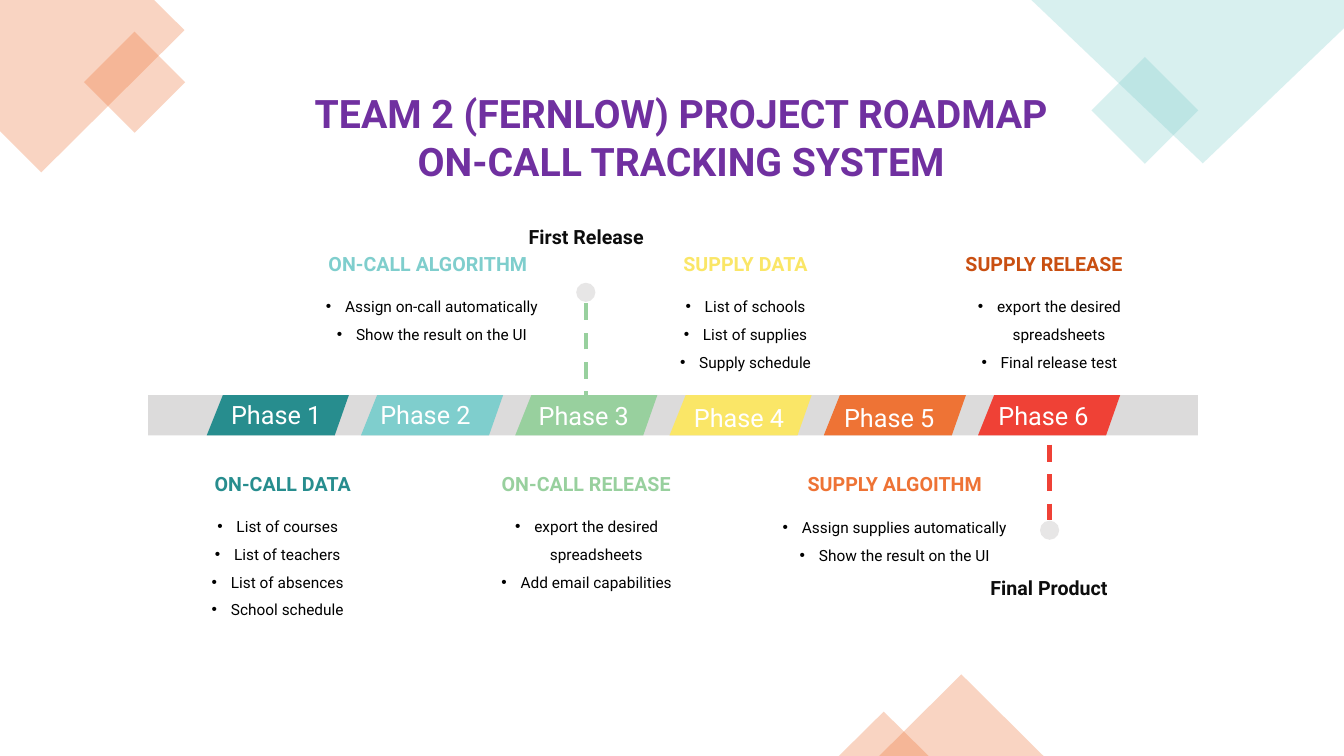
"""Build the six-phase project roadmap slide."""
from lxml.etree import SubElement
from pptx import Presentation
from pptx.dml.color import RGBColor
from pptx.enum.dml import MSO_LINE
from pptx.enum.shapes import MSO_CONNECTOR, MSO_SHAPE
from pptx.enum.text import MSO_ANCHOR, MSO_AUTO_SIZE, PP_ALIGN
from pptx.oxml.ns import qn
from pptx.util import Inches, Pt

FONT = "Roboto"
COLORS = {
    "title": "7030A0", "black": "000000", "label": "0D0D0D", "white": "FFFFFF",
    "bar": "DCDBDB", "dot": "E7E6E6", "teal": "278D8E", "aqua": "7FCECD",
    "green": "98D09E", "yellow": "FAE667", "orange": "EE7335",
    "red": "EF4136", "rust": "C94F11",
}
BAR_TOP, BAR_HEIGHT = 3.92, 0.4
PHASE_LEFT, PHASE_STEP = 2.05, 1.53
PHASE_OUTLINE = [(0.16, 0), (1.41, 0), (1.27, BAR_HEIGHT), (0, BAR_HEIGHT)]
HEADING_WIDTH = 2.37

PHASES = [
    ("teal", 2.13, 3.91), ("aqua", 3.61, 3.91), ("green", 5.18, 3.92),
    ("yellow", 6.72, 3.94), ("orange", 8.21, 3.94), ("red", 9.74, 3.92),
]
HEADINGS = [
    ("ON-CALL DATA", "teal", 1.62, 4.63),
    ("ON-CALL ALGORITHM", "aqua", 3.06, 2.45),
    ("ON-CALL RELEASE", "green", 4.63, 4.63),
    ("SUPPLY DATA", "yellow", 6.21, 2.45),
    ("SUPPLY ALGOITHM", "orange", 7.69, 4.63),
    ("SUPPLY RELEASE", "rust", 9.17, 2.45),
    ("First Release", "label", 4.63, 2.18),
    ("Final Product", "label", 9.22, 5.66),
]
TASK_LISTS = [
    (1.86, 4.99, 1.79, ["List of courses", "List of teachers",
                        "List of absences", "School schedule"]),
    (3.1, 2.81, 2.37, ["Assign on-call automatically",
                       "Show the result on the UI"]),
    (4.57, 4.99, 2.5, ["export the desired spreadsheets",
                       "Add email capabilities"]),
    (6.5, 2.81, 1.79, ["List of schools", "List of supplies",
                       "Supply schedule"]),
    (7.62, 5, 2.51, ["Assign supplies automatically",
                     "Show the result on the UI"]),
    (9.16, 2.81, 2.5, ["export the desired spreadsheets",
                       "Final release test"]),
]
DECORATIONS = [
    (MSO_SHAPE.RECTANGLE, 0.98, 0.46, 0.71, 0.71, 315, "orange"),
    (MSO_SHAPE.RECTANGLE, 10.98, 0.72, 0.75, 0.75, 315, "aqua"),
    (MSO_SHAPE.ISOSCELES_TRIANGLE, 8.72, 6.69, 1.63, 0.81, 0, "orange"),
    (MSO_SHAPE.ISOSCELES_TRIANGLE, 8.32, 7.06, 0.89, 0.44, 0, "orange"),
]
CORNERS = [
    ([(1.53, 0), (0, 0), (0, 1.3), (0.41, 1.71), (1.83, 0.3)], "orange"),
    ([(13.33, 0), (10.23, 0), (11.93, 1.62), (13.33, 0.28)], "aqua"),
]
MILESTONES = [(10.41, 4.12, 5.26, "red"), (5.81, 4.05, 2.9, "green")]


def rgb(color):
    """Return the named colour."""
    return RGBColor.from_string(COLORS[color])


def paint(shape, color, opacity=100):
    """Fill a shape without outline or shadow."""
    shape.shadow.inherit = False
    shape.fill.solid()
    shape.fill.fore_color.rgb = rgb(color)
    shape.line.fill.background()
    if opacity < 100:
        fill_color = shape.fill._xPr.find(qn("a:solidFill"))[0]
        SubElement(fill_color, qn("a:alpha"), val=str(opacity * 1000))


def add_preset(slide, kind, left, top, width, height, color, opacity=100):
    """Add a painted preset shape."""
    shape = slide.shapes.add_shape(
        kind, Inches(left), Inches(top), Inches(width), Inches(height))
    paint(shape, color, opacity)
    return shape


def add_polygon(slide, points, color, opacity=100):
    """Add a painted closed outline."""
    corners = [(Inches(x), Inches(y)) for x, y in points]
    builder = slide.shapes.build_freeform(*corners[0])
    builder.add_line_segments(corners[1:], close=True)
    paint(builder.convert_to_shape(), color, opacity)


def write_lines(text_frame, lines, size, color, bold=False):
    """Write centred paragraphs and return them."""
    text_frame.word_wrap = True
    text_frame.text = "\n".join(lines)
    for paragraph in text_frame.paragraphs:
        paragraph.alignment = PP_ALIGN.CENTER
        paragraph.font.name = FONT
        paragraph.font.size = Pt(size)
        paragraph.font.bold = bold
        paragraph.font.color.rgb = rgb(color)
    return text_frame.paragraphs


def add_text(slide, left, top, width, height, lines, size, color, bold=False):
    """Add a text box and return its paragraphs."""
    box = slide.shapes.add_textbox(
        Inches(left), Inches(top), Inches(width), Inches(height))
    box.text_frame.auto_size = MSO_AUTO_SIZE.SHAPE_TO_FIT_TEXT
    return write_lines(box.text_frame, lines, size, color, bold)


def add_task_list(slide, left, top, width, tasks):
    """Add a centred bulleted list."""
    height = 0.06 + 0.28 * len(tasks)
    for paragraph in add_text(slide, left, top, width, height, tasks, 11, "black"):
        paragraph.line_spacing = 1.5
        properties = paragraph._p.get_or_add_pPr()
        properties.set("marL", str(Inches(0.19)))
        properties.set("indent", str(Inches(-0.19)))
        bullet_font = properties.makeelement(qn("a:buFont"), {"typeface": "Arial"})
        bullet = properties.makeelement(qn("a:buChar"), {"char": "•"})
        properties.find(qn("a:lnSpc")).addnext(bullet_font)
        bullet_font.addnext(bullet)


def add_milestone(slide, x, start, end, color):
    """Add a dashed line ending in a dot."""
    line = slide.shapes.add_connector(
        MSO_CONNECTOR.STRAIGHT, Inches(x), Inches(start), Inches(x), Inches(end))
    line.line.color.rgb = rgb(color)
    line.line.width = Pt(3)
    line.line.dash_style = MSO_LINE.DASH
    SubElement(line._element.spPr, qn("a:effectLst"))
    size = 0.19
    add_preset(slide, MSO_SHAPE.OVAL, x - size / 2, end - size / 2, size, size, "dot")


def add_title(slide):
    """Place and format the slide title."""
    title = slide.shapes.title
    title.left, title.top = Inches(1.62), Inches(0.84)
    title.width, title.height = Inches(10.27), Inches(1.04)
    title.text_frame.auto_size = MSO_AUTO_SIZE.NONE
    title.text_frame.vertical_anchor = MSO_ANCHOR.TOP
    lines = ["TEAM 2 (FERNLOW) PROJECT ROADMAP", "ON-CALL TRACKING SYSTEM"]
    write_lines(title.text_frame, lines, 28, "title", bold=True)


def main():
    """Build and save the slide."""
    presentation = Presentation()
    presentation.slide_width = Inches(13.33)
    presentation.slide_height = Inches(7.5)
    slide = presentation.slides.add_slide(presentation.slide_layouts[5])
    add_title(slide)
    for points, color in CORNERS:
        add_polygon(slide, points, color, 30)
    for kind, left, top, width, height, rotation, color in DECORATIONS:
        shape = add_preset(slide, kind, left, top, width, height, color, 30)
        shape.rotation = rotation
    for milestone in MILESTONES:
        add_milestone(slide, *milestone)
    add_preset(slide, MSO_SHAPE.RECTANGLE, 1.47, BAR_TOP, 10.41, BAR_HEIGHT, "bar")
    for index, (color, label_left, label_top) in enumerate(PHASES):
        left = PHASE_LEFT + index * PHASE_STEP
        add_polygon(slide, [(left + x, BAR_TOP + y) for x, y in PHASE_OUTLINE], color)
        add_text(slide, label_left, label_top, 1.22, 0.4,
                 [f"Phase {index + 1}"], 18, "white")
    for text, color, left, top in HEADINGS:
        add_text(slide, left, top, HEADING_WIDTH, 0.34, [text], 14, color, bold=True)
    for task_list in TASK_LISTS:
        add_task_list(slide, *task_list)
    presentation.save("out.pptx")


if __name__ == "__main__":
    main()
